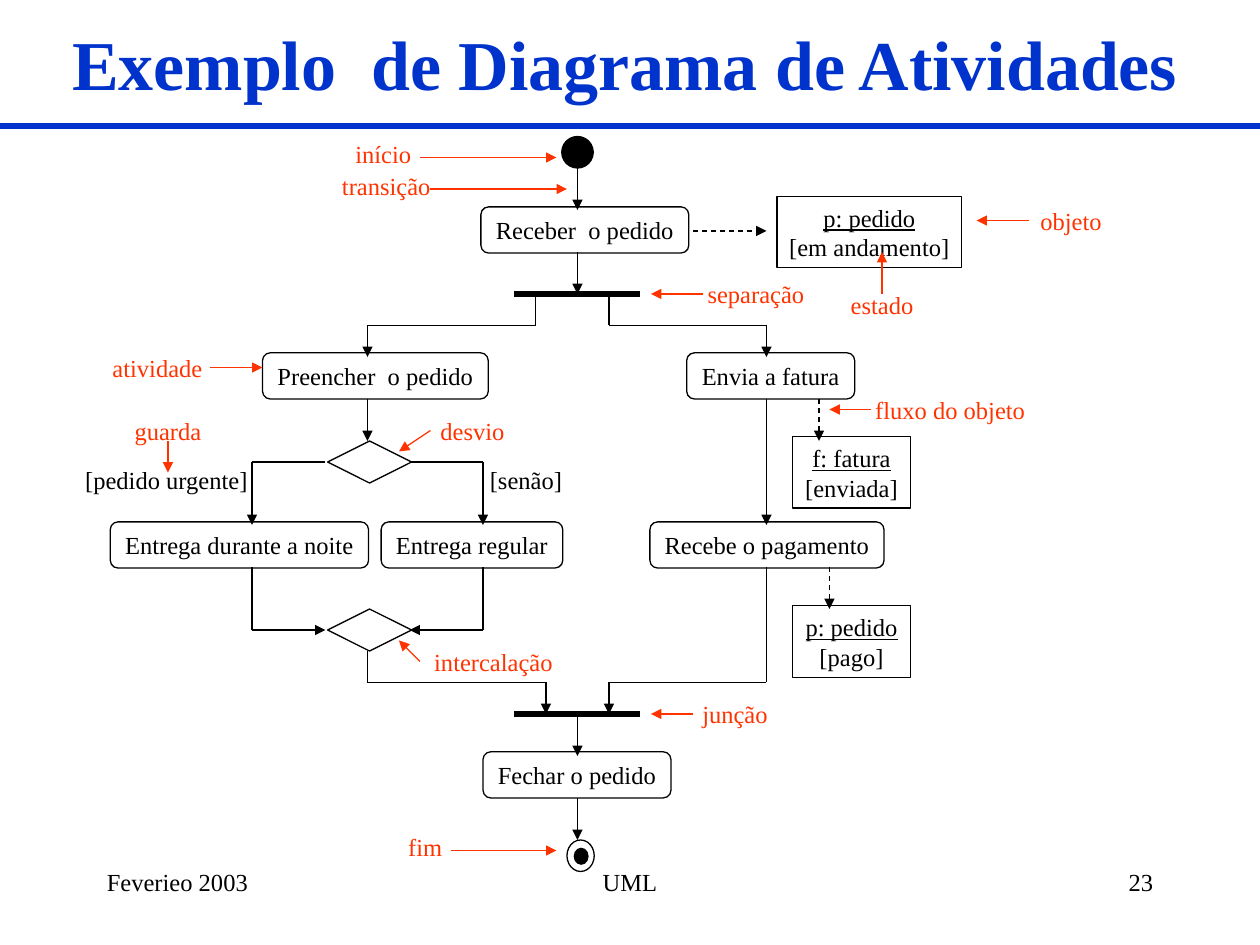
from lxml import etree
from pptx import Presentation, util as u
from pptx.dml.color import RGBColor
from pptx.enum import dml, shapes, text
from pptx.oxml.ns import qn

PX = 7620
FONT = "Times New Roman"
COLORS = {"title": "0033CC", "ink": "000000", "note": "FF3300"}
SHAPE = shapes.MSO_SHAPE
ALIGN = text.PP_ALIGN
ANCHOR = text.MSO_ANCHOR

ACTIVITIES = [
    ("Receber  o pedido", 458, 77, 198),
    ("Preencher  o pedido", 250, 216, 215),
    ("Envia a fatura", 654, 216, 160),
    ("Entrega durante a noite", 105, 377, 246),
    ("Entrega regular", 363, 377, 173),
    ("Recebe o pagamento", 619, 377, 223),
    ("Fechar o pedido", 460, 596, 179),
]
OBJECTS = [
    ("p: pedido", "[em andamento]", 740, 67, 176),
    ("f: fatura", "[enviada]", 755, 296, 112),
    ("p: pedido", "[pago]", 755, 457, 112),
]
GUARDS = [("[pedido urgente]", 64, 317, 189), ("[senão]", 446, 317, 110)]
FLOWS = [
    [(550, 120), (550, 160)],
    [(510, 160), (510, 190), (350, 190), (350, 220)],
    [(580, 160), (580, 190), (730, 190), (730, 220)],
    [(350, 260), (350, 300)],
    [(310, 320), (240, 320), (240, 380)],
    [(390, 320), (460, 320), (460, 380)],
    [(240, 420), (240, 480), (310, 480)],
    [(460, 420), (460, 480), (390, 480)],
    [(730, 260), (730, 380)],
    [(350, 500), (350, 530), (520, 530), (520, 560)],
    [(730, 420), (730, 530), (580, 530), (580, 560)],
    [(550, 560), (550, 600)],
    [(550, 640), (550, 680)],
]
OBJECT_FLOWS = [
    [(660, 100), (730, 100)],
    [(780, 260), (780, 300)],
    [(790, 420), (790, 460)],
]
NOTES = [
    ("início", 320, 7, 90, [(400, 30), (530, 30)]),
    ("transição", 308, 37, 120, [(410, 60), (540, 60)]),
    ("objeto", 970, 70, 100, [(980, 90), (930, 90)]),
    ("separação", 660, 140, 120, [(670, 160), (620, 160)]),
    ("estado", 790, 150, 100, [(840, 160), (840, 120)]),
    ("atividade", 90, 210, 120, [(200, 230), (250, 230)]),
    ("fluxo do objeto", 810, 250, 190, [(830, 270), (790, 270)]),
    ("guarda", 110, 270, 100, [(160, 300), (160, 330)]),
    ("desvio", 400, 270, 100, [(410, 290), (380, 310)]),
    ("intercalação", 400, 490, 140, [(400, 510), (380, 490)]),
    ("junção", 650, 540, 100, [(660, 560), (620, 560)]),
    ("fim", 370, 667, 70, [(430, 690), (530, 690)]),
]


def rgb(name):
    """Return a palette colour."""
    return RGBColor.from_string(COLORS[name])


def emu(*lengths):
    """Turn px lengths into EMU."""
    return [n * PX for n in lengths]


def add_run(p, words, color="ink", size=14, bold=False, underline=False):
    """Append one formatted run to a paragraph."""
    r = p.add_run()
    r.text = words
    f = r.font
    f.name, f.size, f.bold, f.underline = FONT, u.Pt(size), bold, underline
    f.color.rgb = rgb(color)


def add_label(s, words, x, y, w, h=41, color="ink", align=ALIGN.CENTER):
    """Add a one-line text box."""
    tf = s.shapes.add_textbox(*emu(x, y, w, h)).text_frame
    tf.word_wrap = True
    p = tf.paragraphs[0]
    p.alignment = align
    add_run(p, words, color)


def add_node(s, kind, x, y, w, h, lines=(), filled=False):
    """Add an outlined shape; the first of two lines is underlined."""
    sp = s.shapes.add_shape(kind, *emu(x, y, w, h))
    sp.shadow.inherit = False
    sp.line.color.rgb, sp.line.width = rgb("ink"), u.Pt(0.75)
    if filled:
        sp.fill.solid()
        sp.fill.fore_color.rgb = rgb("ink")
    else:
        sp.fill.background()
    tf = sp.text_frame
    tf.word_wrap = False
    tf.vertical_anchor = ANCHOR.MIDDLE
    for i, words in enumerate(lines):
        p = tf.add_paragraph() if i else tf.paragraphs[0]
        p.alignment = ALIGN.CENTER
        add_run(p, words, underline=len(lines) == 2 and i == 0)


def add_path(s, ox, oy, points, color="ink", width=0.75, arrow=True, dashed=False):
    """Join points with straight connectors, the last one with an arrowhead."""
    for (x1, y1), (x2, y2) in zip(points, points[1:]):
        cx = s.shapes.add_connector(shapes.MSO_CONNECTOR.STRAIGHT,
                                    *emu(ox + x1, oy + y1, ox + x2, oy + y2))
        cx.line.color.rgb, cx.line.width = rgb(color), u.Pt(width)
        if dashed:
            cx.line.dash_style = dml.MSO_LINE.DASH
        etree.SubElement(cx._element.spPr, qn("a:effectLst"))
    if arrow:
        ln = cx._element.spPr.find(qn("a:ln"))
        etree.SubElement(ln, qn("a:tailEnd"), type="triangle")


def header(s, x, y, w, h):
    """Place the title and the rule below it."""
    sp = s.shapes.title
    sp.left, sp.top, sp.width, sp.height = emu(x, y, w, h)
    tf = sp.text_frame
    tf.auto_size = text.MSO_AUTO_SIZE.NONE
    tf.vertical_anchor = ANCHOR.MIDDLE
    p = tf.paragraphs[0]
    p.alignment = ALIGN.CENTER
    add_run(p, "Exemplo  de Diagrama de Atividades", "title", 40, bold=True)
    add_path(s, 0, y + h, [(0, 0), (1200, 0)], "title", 4, arrow=False)


def activity_diagram(s, x, y):
    """Draw the nodes, bars and flows of the activity diagram."""
    add_node(s, SHAPE.OVAL, x + 535, y + 10, 30, 30, filled=True)
    add_node(s, SHAPE.OVAL, x + 547, y + 688, 13, 15, filled=True)
    add_node(s, SHAPE.OVAL, x + 540, y + 680, 26, 30)
    for words, left, top, w in ACTIVITIES:
        add_node(s, SHAPE.ROUNDED_RECTANGLE, x + left, y + top, w, 44, [words])
    for top in (300, 460):
        add_node(s, SHAPE.DIAMOND, x + 312, y + top, 80, 40)
    for name, state, left, top, w in OBJECTS:
        add_node(s, SHAPE.RECTANGLE, x + left, y + top, w, 68, [name, state])
    for top in (160, 560):
        add_path(s, x, y, [(490, top), (610, top)], width=3, arrow=False)
    add_path(s, x, y, [(550, 40), (550, 80)], width=1)
    for points in FLOWS:
        add_path(s, x, y, points)
    for points in OBJECT_FLOWS:
        add_path(s, x, y, points, dashed=True)
    for words, left, top, w in GUARDS:
        add_label(s, words, x + left, y + top, w)


def annotations(s, x, y):
    """Name the diagram parts, each with a pointing arrow."""
    for words, left, top, w, points in NOTES:
        add_label(s, words, x + left, y + top, w, color="note")
        add_path(s, x, y, points, "note")


def footer(s, x, y, w, h):
    """Place the date, subject and page number."""
    add_label(s, "Feverieo 2003", x, y, 250, h, align=ALIGN.LEFT)
    add_label(s, "UML", x + (w - 380) // 2, y, 380, h)
    add_label(s, "23", x + w - 250, y, 250, h, align=ALIGN.RIGHT)


def main():
    """Build and save the slide."""
    prs = Presentation()
    prs.slide_width, prs.slide_height = emu(1200, 900)
    s = prs.slides.add_slide(prs.slide_layouts[5])
    header(s, 40, 0, 1110, 120)
    activity_diagram(s, 0, 120)
    annotations(s, 0, 120)
    footer(s, 90, 820, 1020, 60)
    prs.save("out.pptx")


if __name__ == "__main__":
    main()
